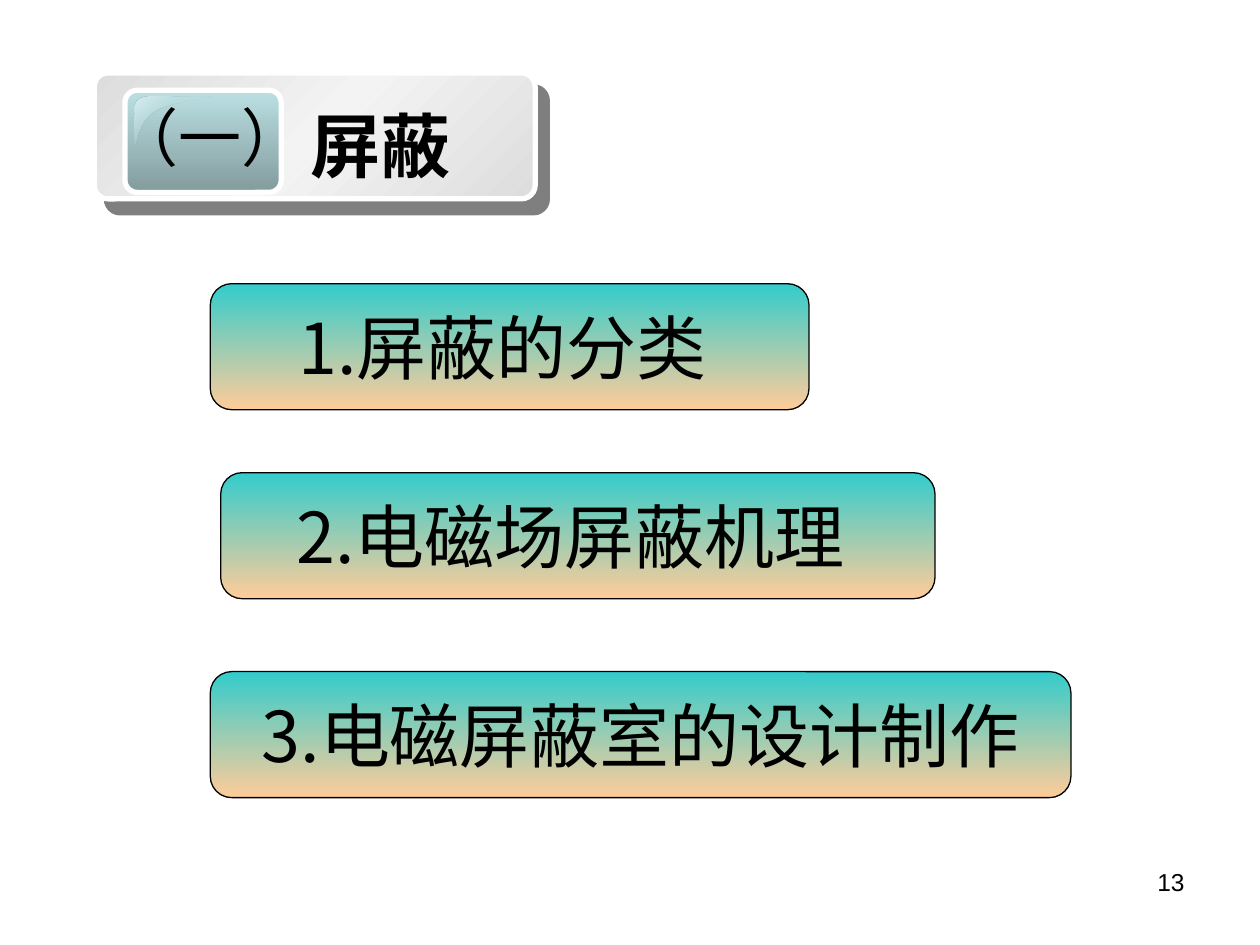
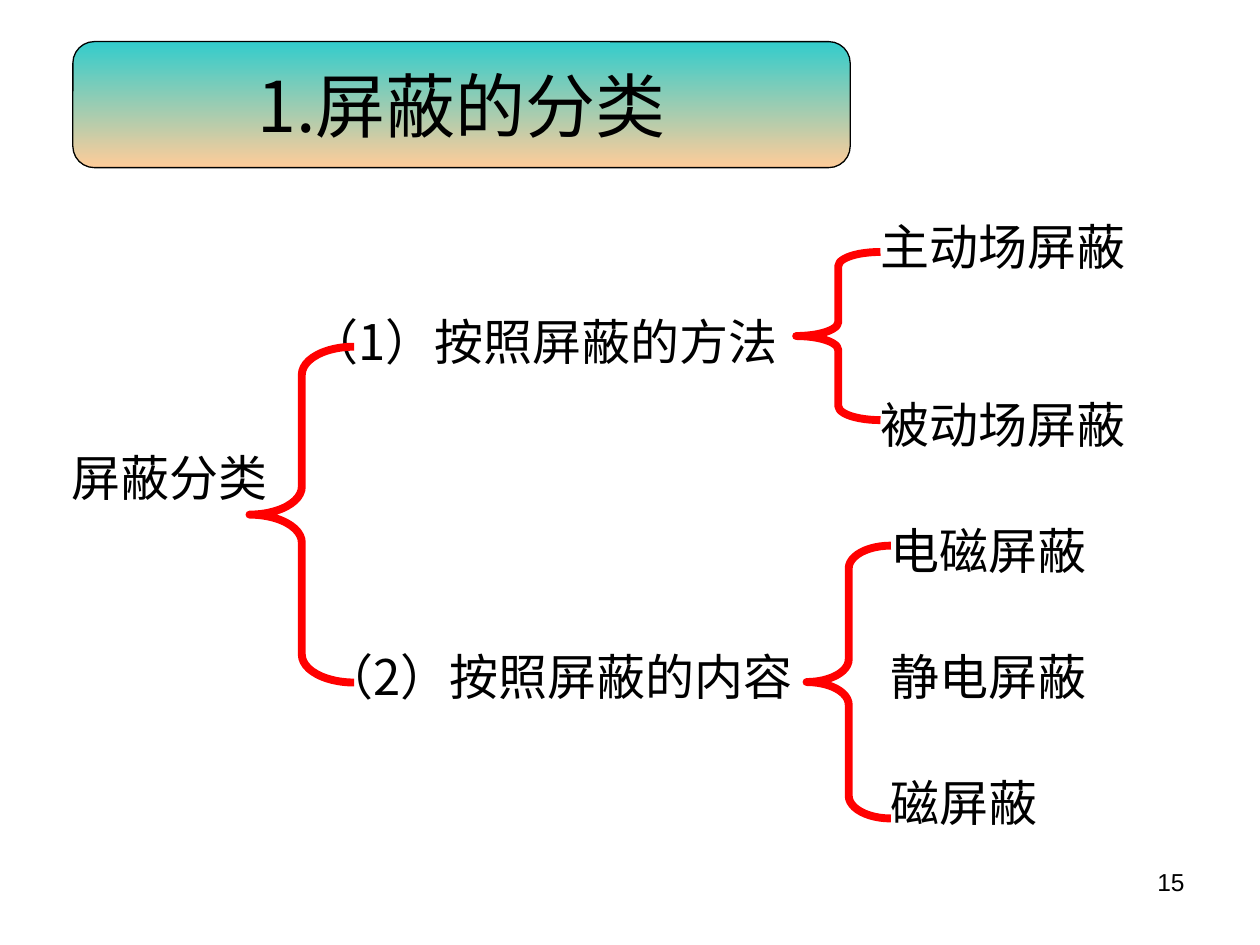
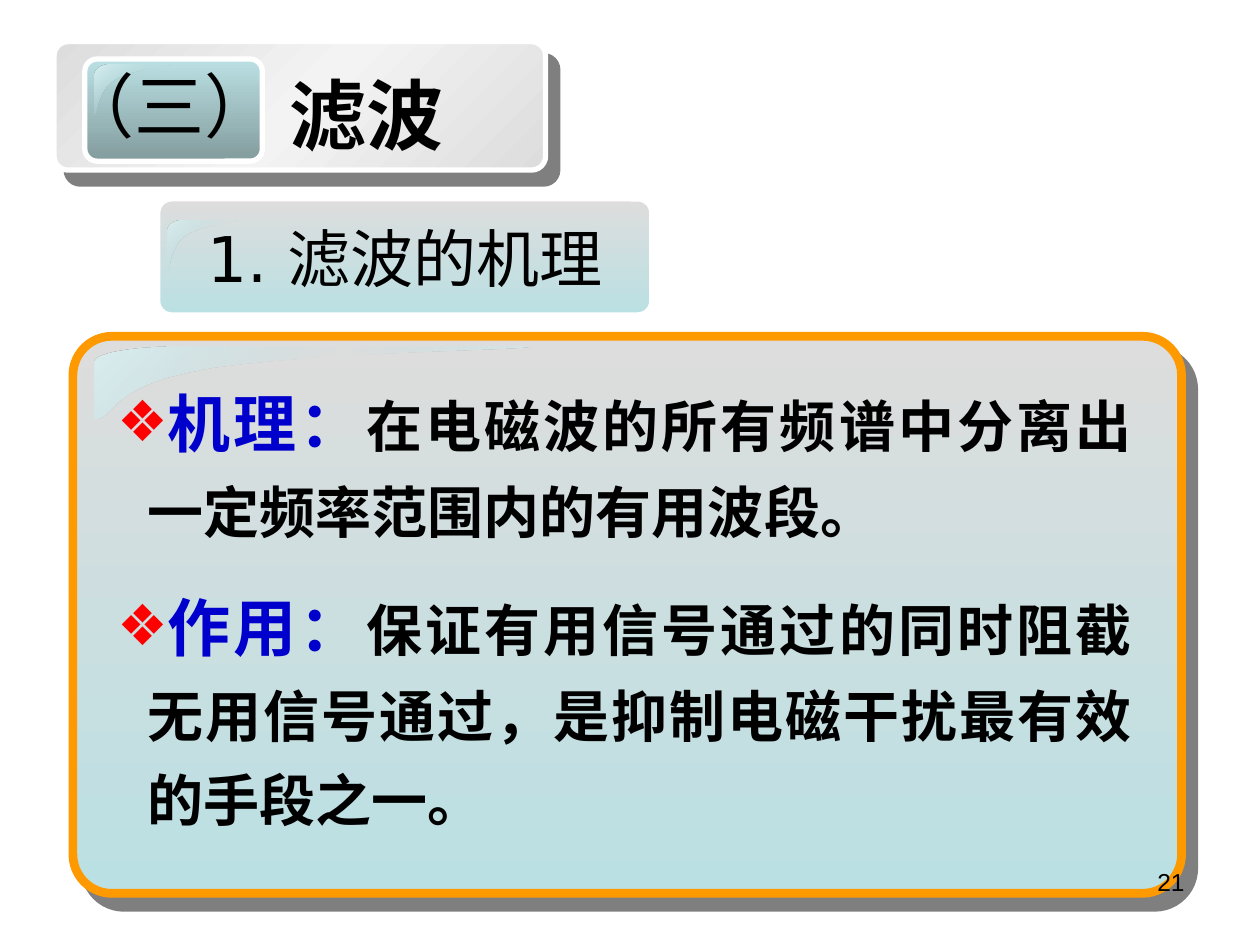
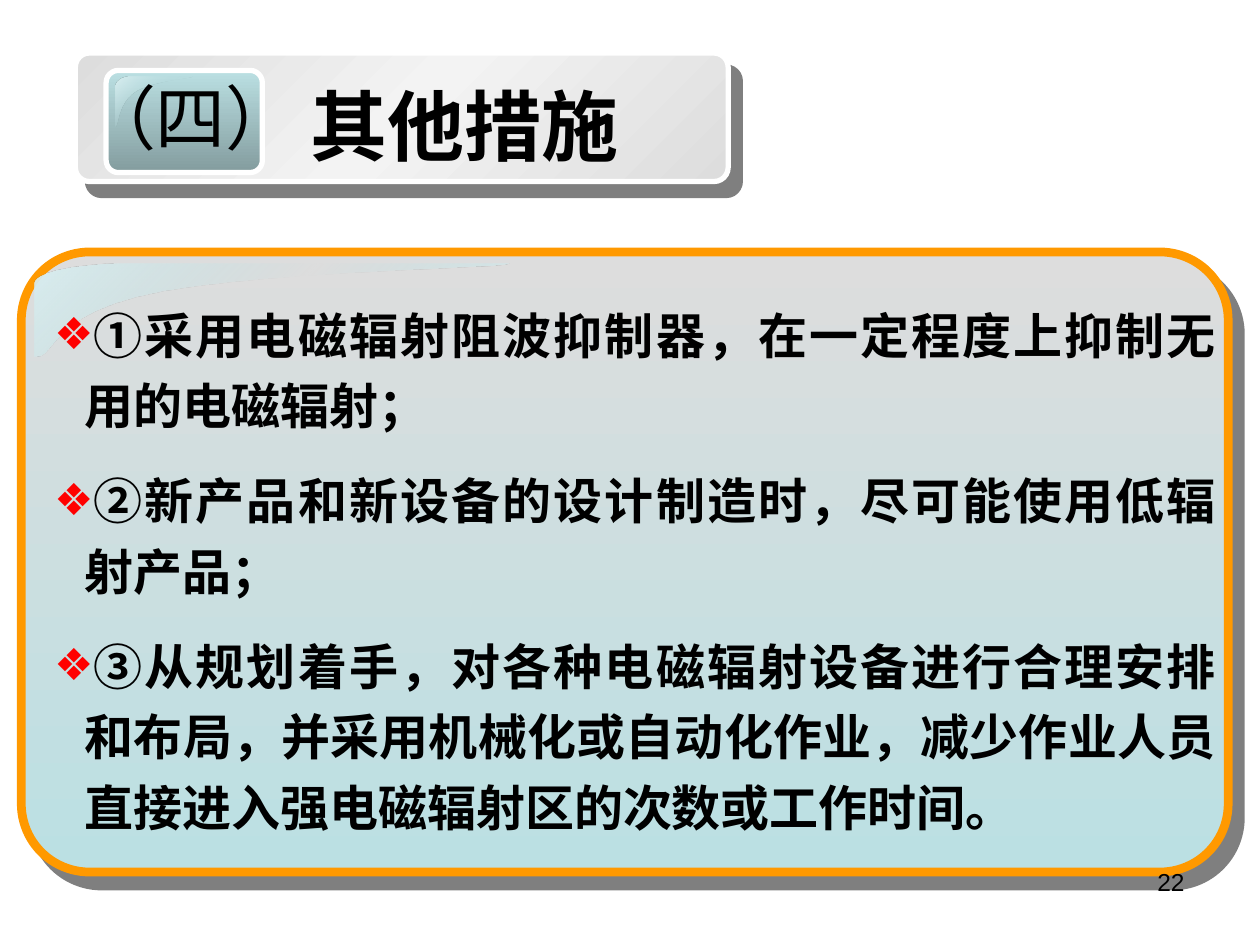
from lxml import etree
from pptx import Presentation
from pptx.dml.color import RGBColor
from pptx.enum.shapes import MSO_SHAPE
from pptx.enum.text import MSO_ANCHOR, PP_ALIGN
from pptx.oxml.ns import qn
from pptx.util import Cm, Pt

ROUND = MSO_SHAPE.ROUNDED_RECTANGLE
BRACE = MSO_SHAPE.LEFT_BRACE
TOP = MSO_ANCHOR.TOP
MIDDLE = MSO_ANCHOR.MIDDLE
LEFT = PP_ALIGN.LEFT
CENTER = PP_ALIGN.CENTER
RIGHT = PP_ALIGN.RIGHT
JUSTIFY = PP_ALIGN.JUSTIFY

HEX = {
    "black": "000000",
    "white": "FFFFFF",
    "silver": "DDDDDD",
    "pearl": "F3F3F3",
    "ice": "BBE0E3",
    "mist": "DAEEF0",
    "slate": "839C9E",
    "teal": "33CCCC",
    "peach": "FFCC99",
    "orange": "FF9900",
    "red": "FF0000",
    "blue": "0000CC",
}
SANS = "Noto Sans CJK SC"
DEJA = "DejaVu Sans"
ARIAL = "Arial"

METAL = [(0, "silver", 100), (50, "pearl", 100), (100, "silver", 100)]
BADGE = [(0, "ice", 100), (100, "slate", 100)]
PILL = [(0, "teal", 100), (100, "peach", 100)]
CARD = [(0, "silver", 100), (100, "ice", 100)]
SHINE = [(0, "mist", 100), (50, "ice", 0), (100, "mist", 100)]

CURVES = [
    [(0.2, 0), (0.09, 0), (0, 0.09), (0, 0.21)],
    [(0, 0.98), (0.05, 1), (0.02, 0.52), (0.27, 0.29)],
    [(0.27, 0.29), (0.52, 0.07), (1, 0.05), (0.99, 0)],
]
STEPS = 12


def rgb(name):
    return RGBColor.from_string(HEX[name])


def node(parent, tag, **attrs):
    item = etree.SubElement(parent, qn(tag))
    for key, value in attrs.items():
        item.set(key, str(value))
    return item


def blend(shape, stops, angle):
    shape.fill.gradient()
    grad = shape.element.spPr.find(qn("a:gradFill"))
    for child in list(grad):
        grad.remove(child)
    group = node(grad, "a:gsLst")
    for place, name, alpha in stops:
        stop = node(group, "a:gs", pos=place * 1000)
        color = node(stop, "a:srgbClr", val=HEX[name])
        if alpha < 100:
            node(color, "a:alpha", val=alpha * 1000)
    node(grad, "a:lin", ang=angle * 60000, scaled=0)


def shade(parent, dist, angle, alpha):
    drop = node(parent, "a:outerShdw", blurRad=0, dist=Pt(dist),
                dir=angle * 60000, algn="ctr", rotWithShape=0)
    color = node(drop, "a:srgbClr", val=HEX["black"])
    node(color, "a:alpha", val=alpha * 1000)


def add_run(para, text, size, font=SANS, color="black", bold=False, shadow=False):
    run = para.add_run()
    run.text = text
    run.font.size = Pt(size)
    run.font.bold = bold
    run.font.color.rgb = rgb(color)
    props = run.font._element
    if shadow:
        shade(node(props, "a:effectLst"), 3, 45, 80)
    run.font.name = font
    node(props, "a:ea", typeface=font)


def set_frame(shape, anchor, side=0.25):
    frame = shape.text_frame
    frame.word_wrap = True
    frame.vertical_anchor = anchor
    frame.margin_left = frame.margin_right = Cm(side)
    frame.margin_top = frame.margin_bottom = Cm(0.13)
    return frame


def add_text(slide, box, text, size, align=LEFT, anchor=MIDDLE, side=0.25, **style):
    shape = slide.shapes.add_textbox(*map(Cm, box))
    para = set_frame(shape, anchor, side).paragraphs[0]
    para.alignment = align
    add_run(para, text, size, **style)


def add_panel(slide, box, stops, line, width, round_by, angle=90, shadow=False):
    shape = slide.shapes.add_shape(ROUND, *map(Cm, box))
    shape.adjustments[0] = round_by
    shape.shadow.inherit = False
    blend(shape, stops, angle)
    shape.line.color.rgb = rgb(line)
    shape.line.width = Pt(width)
    if shadow:
        shade(shape.element.spPr.find(qn("a:effectLst")), 10.6, 49, 50)
    return shape


def add_title(shape, text, size, font=SANS, skew=0):
    frame = set_frame(shape, MIDDLE)
    frame.margin_right = Cm(0.25 + skew)
    para = frame.paragraphs[0]
    para.alignment = CENTER
    add_run(para, text, size, font)


def add_pill(slide, left, top, width, text, skew=0):
    pill = add_panel(slide, (left, top, width, 2.54), PILL, "black", 0.75, 0.17)
    add_title(pill, text, 40, skew=skew)


def bezier(curve, t):
    weights = ((1 - t) ** 3, 3 * t * (1 - t) ** 2, 3 * t * t * (1 - t), t ** 3)
    return tuple(sum(w * point[axis] for w, point in zip(weights, curve))
                 for axis in (0, 1))


def add_gloss(slide, left, top, width, height):
    points = [bezier(curve, i / STEPS) for curve in CURVES for i in range(STEPS + 1)]
    spots = [(Cm(left + x * width), Cm(top + y * height)) for x, y in points]
    pen = slide.shapes.build_freeform(*spots[0])
    pen.add_line_segments(spots[1:], close=True)
    shape = pen.convert_to_shape()
    shape.shadow.inherit = False
    shape.line.fill.background()
    blend(shape, SHINE, 45)


def add_banner(slide, box, number, text, num_size, size, shift, badge=3.15):
    left, top, width, height = box
    add_panel(slide, box, METAL, "white", 3, 0.11, 45, True)
    add_panel(slide, (left + 0.62, top + 0.35, badge, 2.06), BADGE, "white", 3, 0.12)
    add_gloss(slide, left + 0.81, top + 0.47, 1.57, 1.04)
    add_text(slide, (left - 0.03, top, 4.72, 2.54), number, num_size, CENTER,
             side=0, font=ARIAL, shadow=True)
    add_text(slide, (left + shift, top + 0.15, width - shift, 2.59), text, size, bold=True)


def add_brace(slide, left, top, width, height):
    shape = slide.shapes.add_shape(BRACE, *map(Cm, (left, top, width, height)))
    shape.adjustments[0] = height / (12 * width)
    shape.shadow.inherit = False
    shape.fill.background()
    shape.line.color.rgb = rgb("red")
    shape.line.width = Pt(4.5)


def add_list(slide, box, items, pitch, gap):
    frame = set_frame(slide.shapes.add_textbox(*map(Cm, box)), TOP)
    for i, runs in enumerate(items):
        para = frame.add_paragraph() if i else frame.paragraphs[0]
        para.alignment = JUSTIFY
        para.line_spacing = Pt(pitch)
        if i:
            para.space_before = Pt(gap)
        props = para._p.get_or_add_pPr()
        props.set("marL", str(Cm(0.62)))
        props.set("indent", str(Cm(-0.62)))
        node(node(props, "a:buClr"), "a:srgbClr", val=HEX["red"])
        node(props, "a:buSzPct", val=90000)
        node(props, "a:buFont", typeface=DEJA)
        node(props, "a:buChar", char="❖")
        for text, size, color in runs:
            add_run(para, text, size, color=color, bold=True)


def add_page(slide, number):
    add_text(slide, (18.21, 17.35, 5.92, 1.32), number, 14, RIGHT, TOP, font=ARIAL)


def draw_shield(slide):
    add_banner(slide, (1.9, 1.47, 8.89, 2.54), "（一）", "屏蔽", 36, 40, 4.11)
    add_pill(slide, 4.24, 5.72, 12.07, "1.屏蔽的分类", 0.3)
    add_pill(slide, 4.45, 9.53, 14.4, "2.电磁场屏蔽机理", 0.3)
    add_pill(slide, 4.24, 13.54, 17.35, "3.电磁屏蔽室的设计制作")


def draw_tree(slide):
    add_pill(slide, 1.47, 0.84, 15.67, "1.屏蔽的分类")
    labels = [
        (1.19, 8.88, 5.03, "屏蔽分类", SANS),
        (5.99, 6.14, 11.5, "（1）按照屏蔽的方法", SANS),
        (6.3, 12.9, 11.5, "（2）按照屏蔽的内容", SANS),
        (17.5, 4.24, 6.02, "主动场屏蔽", SANS),
        (17.5, 7.83, 6.02, "被动场屏蔽", DEJA),
        (17.7, 10.36, 6.02, "电磁屏蔽", SANS),
        (17.7, 12.91, 6.02, "静电屏蔽", DEJA),
        (17.7, 15.45, 6.02, "磁屏蔽", DEJA),
    ]
    for left, top, width, text, font in labels:
        add_text(slide, (left, top, width, 1.45), text, 28, font=font)
    add_brace(slide, 5.03, 6.99, 2.11, 6.77)
    add_brace(slide, 16.26, 11, 1.7, 5.5)
    add_brace(slide, 16.05, 5.08, 1.7, 3.39)


def draw_filter(slide):
    add_banner(slide, (1.09, 0.84, 9.91, 2.59), "（三）", "滤波", 40, 44, 4.5, 3.58)
    add_panel(slide, (1.47, 6.78, 22.35, 11.23), CARD, "orange", 5, 0.07, shadow=True)
    tag = add_panel(slide, (3.18, 4.01, 9.96, 2.34), CARD, "white", 3, 0.12)
    add_title(tag, "1. 滤波的机理", 36, DEJA)
    add_gloss(slide, 3.38, 4.45, 1.42, 1.02)
    add_gloss(slide, 1.91, 6.99, 8.89, 1.47)
    items = [
        ("机理：", "在电磁波的所有频谱中分离出一定频率范围内的有用波段。"),
        ("作用：", "保证有用信号通过的同时阻截无用信号通过，是抑制电磁干扰最有效的手段之一。"),
    ]
    add_list(slide, (2.11, 7.44, 20.96, 9.7),
             [[(head, 36, "blue"), (body, 32, "black")] for head, body in items],
             48.3, 20)


def draw_other(slide):
    add_banner(slide, (1.52, 1.07, 13.16, 2.59), "（四）", "其他措施", 40, 44, 4.5)
    add_panel(slide, (0.43, 5.08, 24.33, 12.5), CARD, "orange", 5, 0.11, shadow=True)
    add_gloss(slide, 0.69, 5.31, 9.68, 1.91)
    items = [
        "①采用电磁辐射阻波抑制器，在一定程度上抑制无用的电磁辐射；",
        "②新产品和新设备的设计制造时，尽可能使用低辐射产品；",
        "③从规划着手，对各种电磁辐射设备进行合理安排和布局，并采用机械化或自动化作业，"
        "减少作业人员直接进入强电磁辐射区的次数或工作时间。",
    ]
    add_list(slide, (0.84, 5.79, 23.93, 11.2),
             [[(text, 28, "black")] for text in items], 40.3, 14)


def main():
    deck = Presentation()
    deck.slide_width, deck.slide_height = Cm(25.4), Cm(19.05)
    pages = [("13", draw_shield), ("15", draw_tree),
             ("21", draw_filter), ("22", draw_other)]
    for number, draw in pages:
        slide = deck.slides.add_slide(deck.slide_layouts[6])
        draw(slide)
        add_page(slide, number)
    deck.save("out.pptx")


if __name__ == "__main__":
    main()
